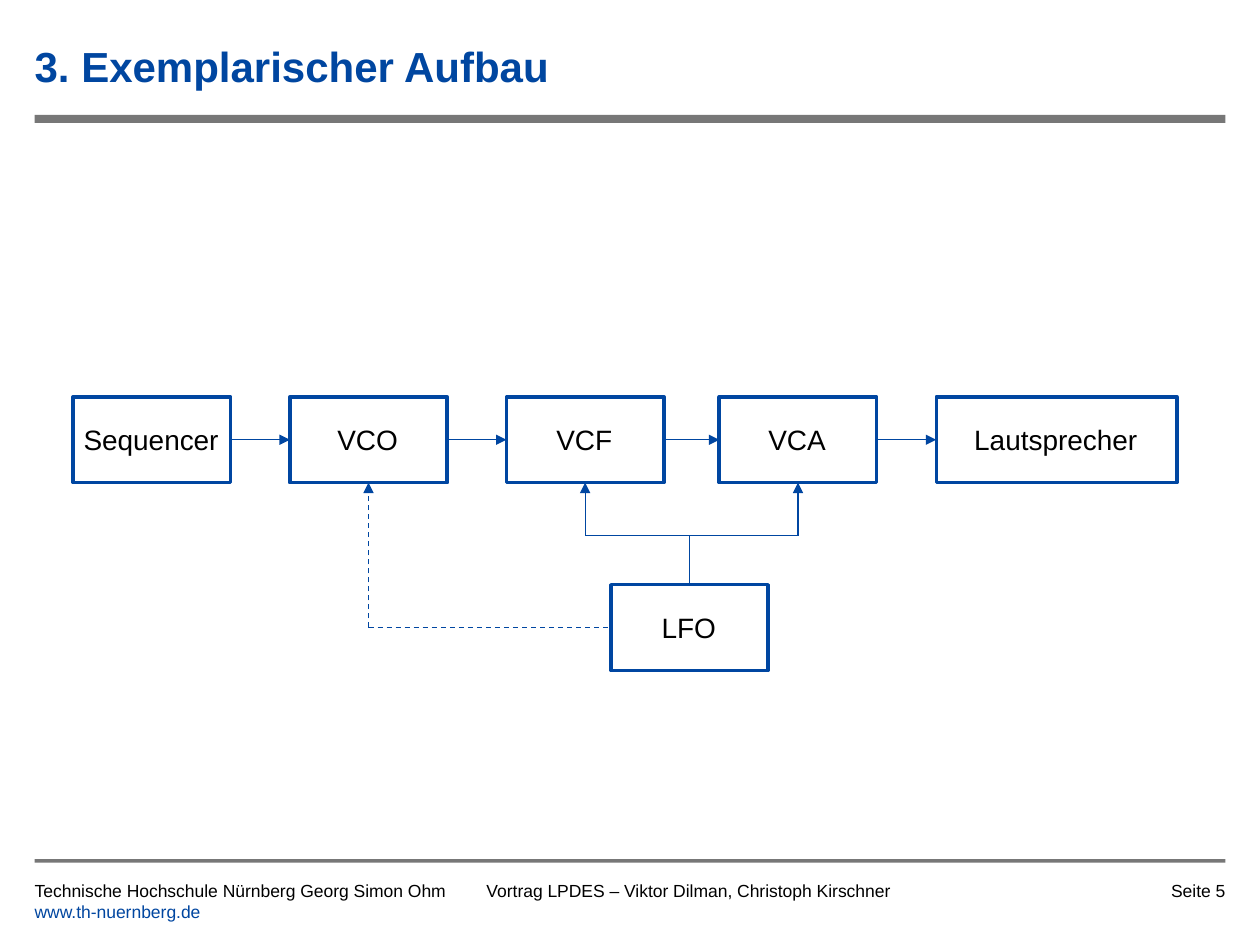
from lxml.etree import SubElement
from pptx import Presentation
from pptx.dml.color import RGBColor
from pptx.enum.dml import MSO_LINE
from pptx.enum.shapes import MSO_CONNECTOR, MSO_SHAPE
from pptx.enum.text import MSO_ANCHOR, MSO_AUTO_SIZE, PP_ALIGN
from pptx.oxml.ns import qn
from pptx.util import Pt

COLORS = {"blue": "0046A0", "line": "0046A1", "gray": "777777", "black": "000000"}
FONT = "Arial"
LEFT, WIDTH = 19.8, 680.4
BOX_W, BOX_H, ROW = 90, 49, 226.8


class Deck:
    """Holds the slide and the style of its elements."""

    def __init__(self):
        self.prs = Presentation()
        self.prs.slide_width, self.prs.slide_height = Pt(720), Pt(540)
        self.slide = self.prs.slides.add_slide(self.prs.slide_layouts[5])
        self.shapes = self.slide.shapes

    def color(self, name):
        return RGBColor.from_string(COLORS[name])

    def label(self, frame, text, size, colors=("black",), align=PP_ALIGN.LEFT,
              bold=False, inset=(0, 0)):
        """Fill a frame with text; each paragraph takes its own color."""
        frame.text = text
        frame.word_wrap = True
        frame.auto_size = MSO_AUTO_SIZE.NONE
        frame.margin_left, frame.margin_right = map(Pt, inset)
        frame.margin_top = frame.margin_bottom = 0
        for para, color in zip(frame.paragraphs, colors):
            para.alignment = align
            for run in para.runs:
                font = run.font
                font.name, font.size, font.bold = FONT, Pt(size), bold
                font.color.rgb = self.color(color)

    def title(self, text, x, y, w, h):
        title = self.shapes.title
        title.left, title.top, title.width, title.height = map(Pt, (x, y, w, h))
        self.label(title.text_frame, text, 24, ["blue"], bold=True)
        title.text_frame.vertical_anchor = MSO_ANCHOR.MIDDLE

    def text(self, text, x, y, w, h, **style):
        box = self.shapes.add_textbox(*map(Pt, (x, y, w, h)))
        self.label(box.text_frame, text, 10, **style)

    def rect(self, x, y, w, h):
        rect = self.shapes.add_shape(MSO_SHAPE.RECTANGLE, *map(Pt, (x, y, w, h)))
        rect.shadow.inherit = False
        return rect

    def bar(self, y, h):
        bar = self.rect(LEFT, y, WIDTH, h)
        bar.fill.solid()
        bar.fill.fore_color.rgb = self.color("gray")
        bar.line.fill.background()

    def block(self, text, x, y, w=BOX_W):
        block = self.rect(x, y, w, BOX_H)
        block.fill.background()
        block.line.color.rgb = self.color("line")
        block.line.width = Pt(2)
        self.label(block.text_frame, text, 16, align=PP_ALIGN.CENTER, inset=(4, 5))
        block.text_frame.vertical_anchor = MSO_ANCHOR.MIDDLE

    def line(self, x1, y1, x2, y2, arrow=False, dash=False):
        wire = self.shapes.add_connector(MSO_CONNECTOR.STRAIGHT,
                                         *map(Pt, (x1, y1, x2, y2)))
        wire.line.color.rgb = self.color("line")
        wire.line.width = Pt(0.75)
        if dash:
            wire.line.dash_style = MSO_LINE.DASH
        props = wire._element.spPr
        if arrow:
            SubElement(props.find(qn("a:ln")), qn("a:tailEnd"), type="triangle")
        SubElement(props, qn("a:effectLst"))


def main():
    deck = Deck()
    deck.bar(491, 2)
    deck.bar(65.7, 4.5)
    deck.title("3. Exemplarischer Aufbau", LEFT, 15.1, WIDTH, 45.4)

    foot = 502.6
    deck.text("Technische Hochschule Nürnberg Georg Simon Ohm\nwww.th-nuernberg.de",
              LEFT, foot, 250, 28, colors=("black", "blue"))
    deck.text("Vortrag LPDES – Viktor Dilman, Christoph Kirschner",
              278, foot, 253.4, 28)
    deck.text("Seite 5", 644, foot, 56.2, 14, align=PP_ALIGN.RIGHT)

    chain = {"Sequencer": 41.8, "VCO": 165.6, "VCF": 289.4, "VCA": 411}
    for name, x in chain.items():
        deck.block(name, x, ROW)
    speaker = 535
    deck.block("Lautsprecher", speaker, ROW, 137.5)
    lfo, low = 349, 334.1
    deck.block("LFO", lfo, low)

    mid = ROW + BOX_H / 2
    starts = list(chain.values())
    for x, end in zip(starts, starts[1:] + [speaker]):
        deck.line(x + BOX_W, mid, end, mid, arrow=True)

    vco, vcf, vca = (chain[name] + BOX_W / 2 for name in ("VCO", "VCF", "VCA"))
    base, bus = ROW + BOX_H, 306
    for x in (vcf, vca):
        deck.line(x, bus, x, base, arrow=True)
    deck.line(vcf, bus, vca, bus)
    deck.line(lfo + BOX_W / 2, bus, lfo + BOX_W / 2, low)

    turn = low + BOX_H / 2
    deck.line(vco, turn, vco, base, arrow=True, dash=True)
    deck.line(vco, turn, lfo, turn, dash=True)
    deck.prs.save("out.pptx")


if __name__ == "__main__":
    main()
